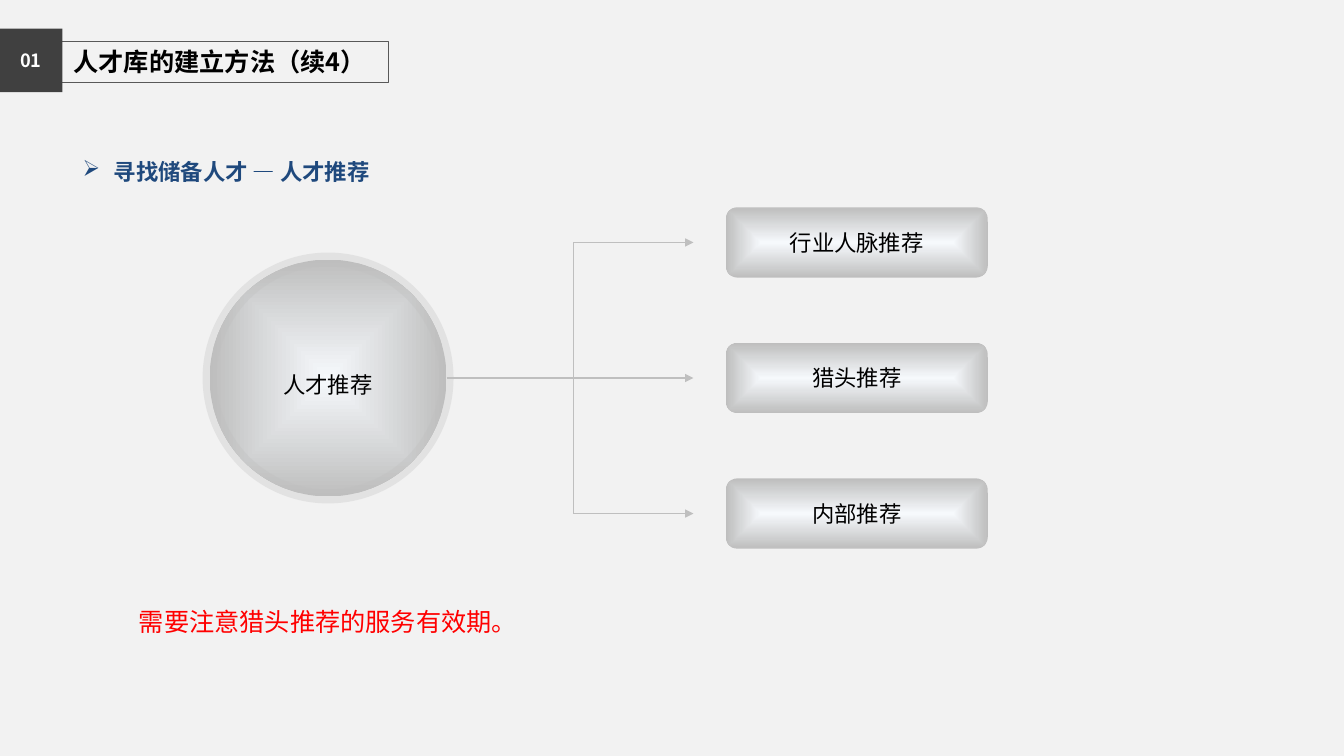
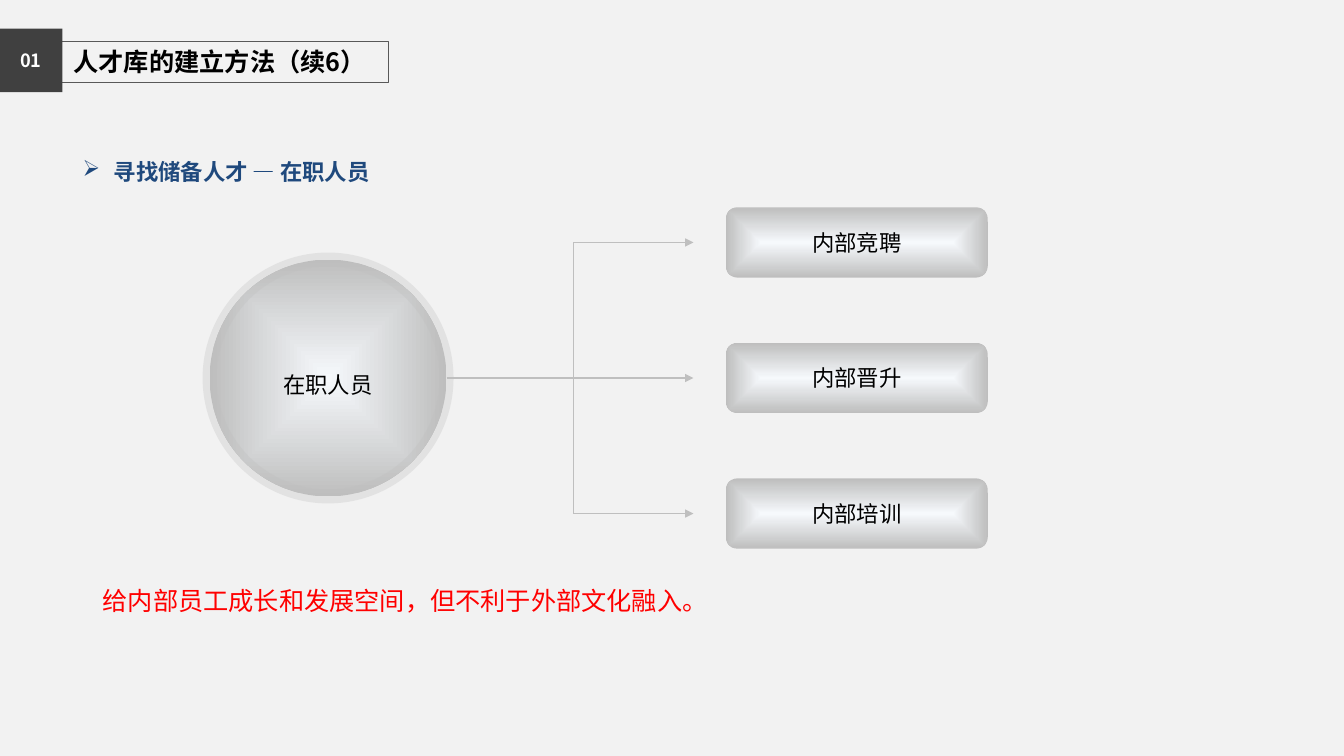
from lxml.etree import SubElement
from pptx import Presentation
from pptx.dml.color import RGBColor
from pptx.enum.shapes import MSO_CONNECTOR, MSO_SHAPE
from pptx.enum.text import MSO_ANCHOR, MSO_AUTO_SIZE, PP_ALIGN
from pptx.oxml.ns import qn
from pptx.util import Inches, Pt

WIDTH, HEIGHT = Inches(13.33), Inches(7.5)
FONT = "Noto Sans CJK SC"
COLORS = {
    "background": "F2F2F2", "badge": "404040", "frame": "595959",
    "ink": "000000", "white": "FFFFFF", "heading": "1F497D", "note": "FF0000",
    "glow": "F6F9FC", "edge": "BEBEBE", "line": "BFBFBF",
}
MIDDLE_ROW, ROW_STEP = 50, 17.93
HUB_CENTER, HUB_SIZE = 24.41, Inches(2.35)
FORK, ARROW_END = 42.7, 51.6
OPTION_LEFT, OPTION_WIDTH, OPTION_HEIGHT = 54, 19.5, 9.3

SLIDES = [
    {"title": "人才库的建立方法（续4）", "heading": "寻找储备人才 — 人才推荐", "hub": "人才推荐",
     "options": ["行业人脉推荐", "猎头推荐", "内部推荐"],
     "note": "需要注意猎头推荐的服务有效期。", "note_area": (9.6, 79.5, 29.6, 5.4)},
    {"title": "人才库的建立方法（续6）", "heading": "寻找储备人才 — 在职人员", "hub": "在职人员",
     "options": ["内部竞聘", "内部晋升", "内部培训"],
     "note": "给内部员工成长和发展空间，但不利于外部文化融入。", "note_area": (6.9, 76.8, 46.5, 5.4)},
]


def across(percent):
    return round(WIDTH * percent / 100)


def down(percent):
    return round(HEIGHT * percent / 100)


def place(left, top, width, height):
    return across(left), down(top), across(width), down(height)


def color(name):
    return RGBColor.from_string(COLORS[name])


def write(box, text, size, ink, bold=False, align=PP_ALIGN.LEFT):
    para = box.text_frame.paragraphs[0]
    para.alignment = align
    span = para.add_run()
    span.text = text
    span.font.size = Pt(size)
    span.font.bold = bold
    span.font.name = FONT
    span.font.color.rgb = color(ink)
    SubElement(span.font._element, qn("a:ea"), typeface=FONT)
    return para


def fit_text(box):
    box.text_frame.word_wrap = False
    box.text_frame.auto_size = MSO_AUTO_SIZE.SHAPE_TO_FIT_TEXT
    box.text_frame.vertical_anchor = MSO_ANCHOR.TOP


def add_box(page, kind, area):
    box = page.shapes.add_shape(kind, *area)
    box.shadow.inherit = False
    box.fill.background()
    box.line.fill.background()
    box.text_frame.vertical_anchor = MSO_ANCHOR.MIDDLE
    return box


def add_text(page, area, text, size, ink, bold=False):
    box = page.shapes.add_textbox(*area)
    fit_text(box)
    write(box, text, size, ink, bold)
    return box


def add_title(page, text):
    frame = add_box(page, MSO_SHAPE.RECTANGLE, place(3.9, 5.5, 25, 5.4))
    frame.line.color.rgb = color("frame")
    frame.line.width = Pt(1)
    frame.text_frame.margin_left = Inches(0.21)
    fit_text(frame)
    write(frame, text, 18, "ink", bold=True)
    badge = add_box(page, MSO_SHAPE.RECTANGLE, place(-0.05, 3.8, 4.7, 8.4))
    badge.fill.solid()
    badge.fill.fore_color.rgb = color("badge")
    write(badge, "01", 13, "white", bold=True, align=PP_ALIGN.CENTER)


def add_heading(page, text):
    box = add_text(page, place(4.65, 19.6, 24.8, 6.2), text, 16, "heading", bold=True)
    box.text_frame.margin_left = box.text_frame.margin_right = Inches(0.2)
    box.text_frame.margin_top = box.text_frame.margin_bottom = Inches(0.1)
    properties = box.text_frame.paragraphs[0]._p.get_or_add_pPr()
    indent = Inches(0.31)
    properties.set("marL", str(indent))
    properties.set("indent", str(-indent))
    SubElement(properties, qn("a:buChar"), char="➢")


def add_glowing(page, kind, area, text):
    box = add_box(page, kind, area)
    box.fill.gradient()
    for stop, name in zip(box.fill.gradient_stops, ("glow", "edge")):
        stop.color.rgb = color(name)
    gradient = box._element.spPr.find(qn("a:gradFill"))
    gradient.remove(gradient.find(qn("a:lin")))
    route = SubElement(gradient, qn("a:path"), {"path": "rect"})
    SubElement(route, qn("a:fillToRect"), {side: "50000" for side in "ltrb"})
    return box, write(box, text, 16, "ink", align=PP_ALIGN.CENTER)


def add_hub(page, text):
    area = (across(HUB_CENTER) - HUB_SIZE // 2, down(MIDDLE_ROW) - HUB_SIZE // 2, HUB_SIZE, HUB_SIZE)
    hub, para = add_glowing(page, MSO_SHAPE.OVAL, area, text)
    para.line_spacing = 1.5
    hub.line.color.rgb = color("edge")
    hub.line.width = Pt(10)
    tint = hub._element.spPr.find(qn("a:ln")).find(".//" + qn("a:srgbClr"))
    SubElement(tint, qn("a:alpha"), val="30000")


def add_line(page, start, end, arrow=False):
    line = page.shapes.add_connector(MSO_CONNECTOR.STRAIGHT, *start, *end)
    line.line.color.rgb = color("line")
    line.line.width = Pt(0.75)
    if arrow:
        SubElement(line.line._get_or_add_ln(), qn("a:tailEnd"), type="triangle")
    SubElement(line._element.spPr, qn("a:effectLst"))


def add_branches(page, options):
    rows = [MIDDLE_ROW + ROW_STEP * step for step in (-1, 0, 1)]
    hub_edge = across(HUB_CENTER) + HUB_SIZE // 2
    for row, option in zip(rows, options):
        area = place(OPTION_LEFT, row - OPTION_HEIGHT / 2, OPTION_WIDTH, OPTION_HEIGHT)
        add_glowing(page, MSO_SHAPE.ROUNDED_RECTANGLE, area, option)
        start = hub_edge if row == MIDDLE_ROW else across(FORK)
        add_line(page, (start, down(row)), (across(ARROW_END), down(row)), arrow=True)
    add_line(page, (across(FORK), down(rows[0])), (across(FORK), down(rows[-1])))


def add_page(deck, content):
    page = deck.slides.add_slide(deck.slide_layouts[6])
    page.background.fill.solid()
    page.background.fill.fore_color.rgb = color("background")
    add_title(page, content["title"])
    add_heading(page, content["heading"])
    add_text(page, place(*content["note_area"]), content["note"], 18, "note")
    add_hub(page, content["hub"])
    add_branches(page, content["options"])


def main():
    deck = Presentation()
    deck.slide_width, deck.slide_height = WIDTH, HEIGHT
    for content in SLIDES:
        add_page(deck, content)
    deck.save("out.pptx")


if __name__ == "__main__":
    main()
